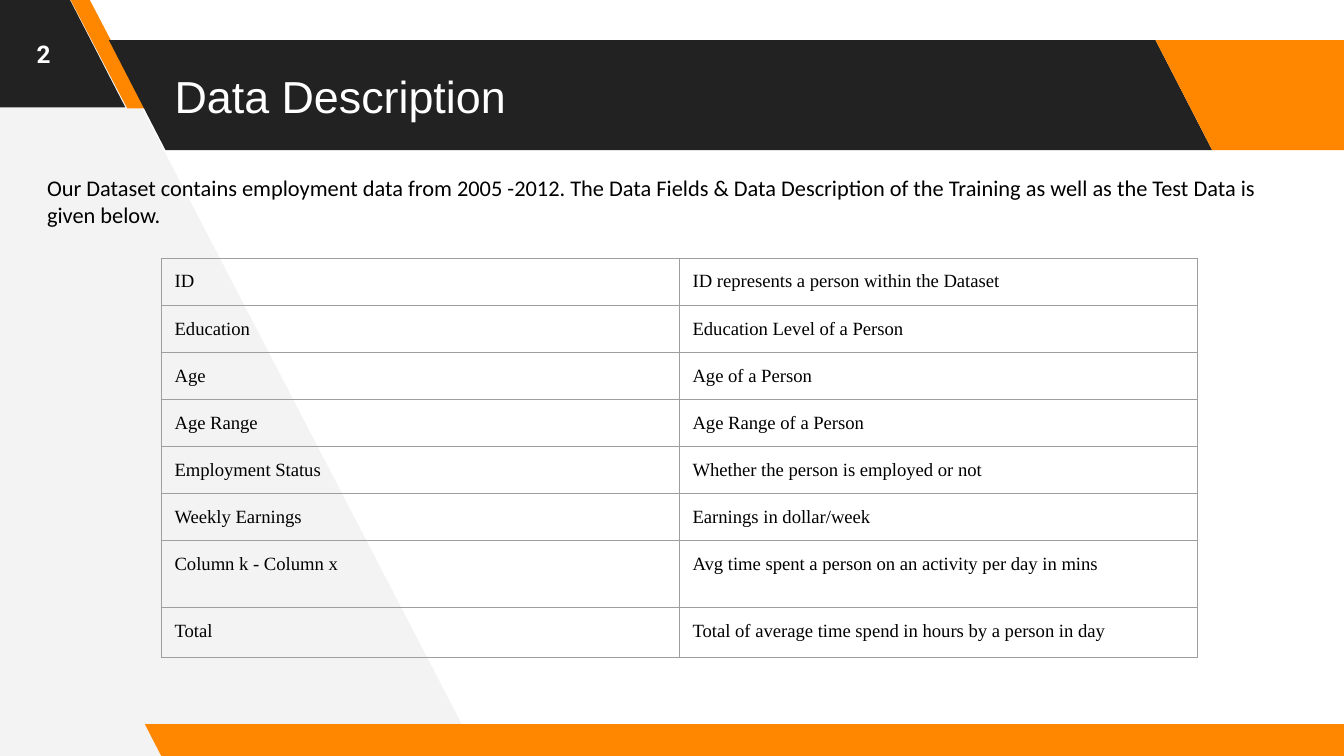
from dataclasses import dataclass

from lxml import etree
from pptx import Presentation
from pptx import util as u
from pptx.dml.color import RGBColor
from pptx.enum import shapes, text
from pptx.oxml.ns import qn

DARK, ORANGE, PALE = "222222", "FF8700", "F3F3F3"
WHITE, BLACK, GRID = "FFFFFF", "000000", "9E9E9E"
INSET = u.Cm(0.25)
BAND_HEIGHT = 2.08


@dataclass
class Band:
    left: float
    top: float
    width: float
    height: float
    fill: str
    slant: float = 0.515


@dataclass
class Style:
    font: str
    size: float
    color: str
    bold: bool = False


BANDS = [
    Band(-2.51, -0.05, 4.88, BAND_HEIGHT, DARK),
    Band(1.32, -0.03, 1.45, BAND_HEIGHT, ORANGE, 0.75),
    Band(2.06, 0.76, 20.85, BAND_HEIGHT, DARK),
    Band(21.84, 0.76, 4.88, BAND_HEIGHT, ORANGE),
    Band(2.74, 13.69, 23.24, 0.64, ORANGE),
]
WEDGE = [(9.04, 14.29), (1.57, -0.1), (-0.15, -0.1), (-0.05, 14.38)]

FIELDS = [
    ("ID", "ID represents a person within the Dataset"),
    ("Education", "Education Level of a Person"),
    ("Age", "Age of a Person"),
    ("Age Range", "Age Range of a Person"),
    ("Employment Status", "Whether the person is employed or not"),
    ("Weekly Earnings", "Earnings in dollar/week"),
    ("Column k - Column x", "Avg time spent a person on an activity per day in mins"),
    ("Total", "Total of average time spend in hours by a person in day"),
]
ROW_HEIGHTS = [0.86] * 6 + [1.27, 0.94]
COLUMN_WIDTH = 9.79


def rgb(value: str) -> RGBColor:
    return RGBColor.from_string(value)


def paint(shape, color: str) -> None:
    shape.fill.solid()
    shape.fill.fore_color.rgb = rgb(color)
    shape.line.fill.background()
    shape.shadow.inherit = False


def draw_band(page, band: Band) -> None:
    shape = page.shapes.add_shape(
        shapes.MSO_SHAPE.PARALLELOGRAM,
        u.Cm(band.left), u.Cm(band.top), u.Cm(band.width), u.Cm(band.height))
    shape.adjustments[0] = band.slant
    shape._element.spPr.xfrm.set("flipH", "1")
    paint(shape, band.fill)


def set_insets(target) -> None:
    target.margin_left = target.margin_right = INSET
    target.margin_top = target.margin_bottom = INSET


def write(frame, words: str, style: Style, align=text.PP_ALIGN.LEFT) -> None:
    para = frame.paragraphs[0]
    para.alignment = align
    span = para.add_run()
    span.text = words
    span.font.name = style.font
    span.font.size = u.Pt(style.size)
    span.font.bold = style.bold
    span.font.color.rgb = rgb(style.color)


def fit_frame(box, anchor) -> None:
    frame = box.text_frame
    frame.word_wrap = True
    frame.auto_size = text.MSO_AUTO_SIZE.NONE
    frame.vertical_anchor = anchor
    set_insets(frame)


def add_text(page, left: float, top: float, width: float, height: float,
             words: str, style: Style, anchor, align=text.PP_ALIGN.LEFT) -> None:
    box = page.shapes.add_textbox(u.Cm(left), u.Cm(top), u.Cm(width), u.Cm(height))
    fit_frame(box, anchor)
    write(box.text_frame, words, style, align)


def add_borders(cell, color: str, points: float) -> None:
    properties = cell._tc.get_or_add_tcPr()
    for index, side in enumerate(("lnL", "lnR", "lnT", "lnB")):
        line = etree.Element(qn(f"a:{side}"), w=str(u.Pt(points)))
        fill = etree.SubElement(line, qn("a:solidFill"))
        etree.SubElement(fill, qn("a:srgbClr"), val=color)
        properties.insert(index, line)


def add_field_table(page) -> None:
    table = page.shapes.add_table(
        len(FIELDS), 2, u.Cm(3.05), u.Cm(4.88),
        u.Cm(2 * COLUMN_WIDTH), u.Cm(sum(ROW_HEIGHTS))).table
    table.first_row = table.horz_banding = False
    for column in table.columns:
        column.width = u.Cm(COLUMN_WIDTH)
    style = Style("Times New Roman", 10, BLACK)
    for row, height, field in zip(table.rows, ROW_HEIGHTS, FIELDS):
        row.height = u.Cm(height)
        for cell, words in zip(row.cells, field):
            cell.fill.background()
            set_insets(cell)
            add_borders(cell, GRID, 0.75)
            write(cell.text_frame, words, style)


def main() -> None:
    deck = Presentation()
    deck.slide_width, deck.slide_height = u.Cm(25.4), u.Cm(14.29)
    page = deck.slides.add_slide(deck.slide_layouts[5])

    # Background wedge and slanted bands
    builder = page.shapes.build_freeform(
        u.Cm(WEDGE[0][0]), u.Cm(WEDGE[0][1]))
    builder.add_line_segments([(u.Cm(x), u.Cm(y)) for x, y in WEDGE[1:]])
    paint(builder.convert_to_shape(), PALE)
    for band in BANDS:
        draw_band(page, band)

    # Title, brought in front of the bands
    title = page.shapes.title
    title.left, title.top = u.Cm(3.05), u.Cm(0.76)
    title.width, title.height = u.Cm(21.03), u.Cm(BAND_HEIGHT)
    fit_frame(title, text.MSO_ANCHOR.MIDDLE)
    write(title.text_frame, "Data Description", Style("Arial", 24, WHITE))
    page.shapes._spTree.append(title._element)

    # Page number and introduction
    add_text(page, 0, 0, 1.65, 2.03, "2", Style("Roboto", 13, WHITE, True),
             text.MSO_ANCHOR.MIDDLE, text.PP_ALIGN.CENTER)
    add_text(page, 0.64, 3.05, 24.08, 5.92,
             "Our Dataset contains employment data from 2005 -2012. "
             "The Data Fields & Data Description of the Training as well as "
             "the Test Data is given below.",
             Style("Calibri", 12, BLACK), text.MSO_ANCHOR.TOP)

    # Field descriptions
    add_field_table(page)
    deck.save("out.pptx")


if __name__ == "__main__":
    main()
